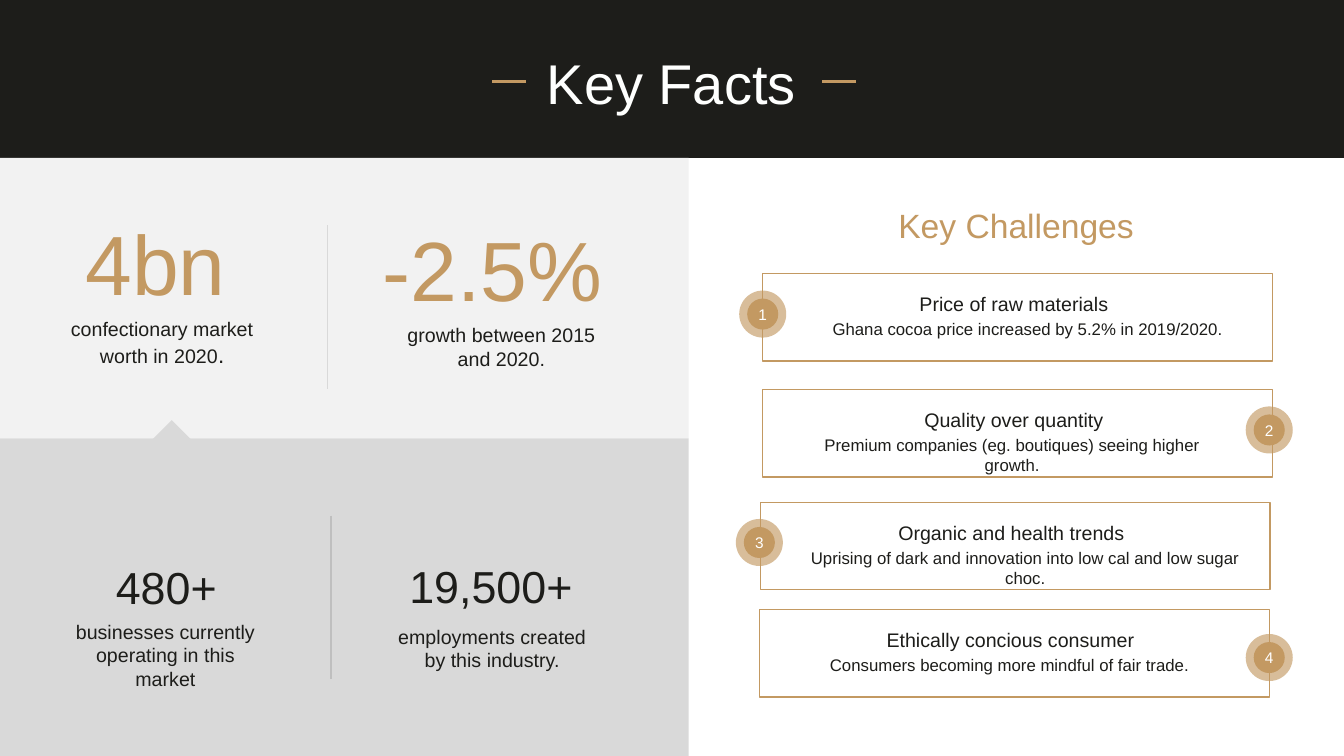
from lxml import etree
from pptx import Presentation
from pptx.dml.color import RGBColor
from pptx.enum.shapes import MSO_CONNECTOR as CONN, MSO_SHAPE as SHAPE
from pptx.enum.text import MSO_AUTO_SIZE as FIT, PP_ALIGN as ALIGN
from pptx.oxml.ns import qn
from pptx.util import Inches, Pt

COLORS = {"gold": "C39962", "ink": "1D1D1A", "title": "FEFFFE", "white": "FFFFFF",
          "pale": "F2F2F2", "grey": "D9D9D9", "rule": "BFBFBF"}
FONT = "Arial"

# Grid of 160 columns by 90 rows of square cells
COLS, ROWS = 160, 90
HEADER_ROWS, LEFT_COLS, SPLIT_ROW = 18.8, 82, 52.2

prs = Presentation()
prs.slide_width, prs.slide_height = Inches(13.33), Inches(7.5)


def grid(n):
    return round(prs.slide_width * n / COLS)


def rgb(name):
    return RGBColor.from_string(COLORS[name])


def add_box(s, x, y, w, h, fill=None, line=None, shape=SHAPE.RECTANGLE, opacity=None):
    sp = s.shapes.add_shape(shape, grid(x), grid(y), grid(w), grid(h))
    sp.shadow.inherit = False
    if fill:
        sp.fill.solid()
        sp.fill.fore_color.rgb = rgb(fill)
    else:
        sp.fill.background()
    if line:
        sp.line.color.rgb = rgb(line)
        sp.line.width = Pt(1)
    else:
        sp.line.fill.background()
    if opacity:
        color = sp.fill._xPr.find(".//" + qn("a:srgbClr"))
        etree.SubElement(color, qn("a:alpha")).set("val", str(opacity * 1000))
    return sp


def add_text(s, x, y, w, h, text, size, color="ink", align=ALIGN.CENTER):
    tf = s.shapes.add_textbox(grid(x), grid(y), grid(w), grid(h)).text_frame
    tf.word_wrap = True
    tf.auto_size = FIT.SHAPE_TO_FIT_TEXT
    p = tf.paragraphs[0]
    p.text = text
    p.alignment = align
    p.font.name, p.font.size = FONT, Pt(size)
    p.font.color.rgb = rgb(color)
    return p


def add_line(s, x1, y1, x2, y2, color, width):
    ln = s.shapes.add_connector(CONN.STRAIGHT, grid(x1), grid(y1), grid(x2), grid(y2))
    ln.line.color.rgb = rgb(color)
    ln.line.width = Pt(width)
    etree.SubElement(ln._element.spPr, qn("a:effectLst"))


def header(s, x, y, w, h):
    add_box(s, x, y, w, h, "ink")
    add_text(s, x + 49.3, y + 5.2, 61.2, 9.2, "Key Facts", 40, "title")
    for dash in (58.6, 97.9):
        add_line(s, x + dash, y + 9.7, x + dash + 4, y + 9.7, "gold", 2.25)


def stat_panel(s, x, y, w, h, fill, size, color, align, divider, stats):
    """Two figures with captions, parted by a vertical rule."""
    add_box(s, x, y, w, h, fill)
    rule_x, rule_y, rule_color = divider
    add_line(s, x + rule_x, y + rule_y, x + rule_x, y + rule_y + 19.5, rule_color, 1)
    captions = []
    for figure, (fx, fy, fw), caption, (cx, cy) in stats:
        add_text(s, x + fx, y + fy, fw, size / 5, figure, size, color, align)
        captions.append(add_text(s, x + cx, y + cy, 25, 6.9, caption, 14))
    return captions


def challenge(s, x, y, w, h, number, badge, title, body, body_w):
    """Framed text with a numbered badge on one edge."""
    add_box(s, x, y, w, h, line="gold")
    bx, by = x + badge[0], y + badge[1]
    add_box(s, bx, by, 5.6, 5.6, "gold", shape=SHAPE.OVAL, opacity=64)
    add_box(s, bx + 0.95, by + 0.95, 3.7, 3.7, "gold", shape=SHAPE.OVAL)
    add_text(s, bx + 0.7, by + 1.1, 4.2, 3.4, str(number), 11, "white")
    add_text(s, x + 3.7, y + 1.6, 52.4, 4, title, 14)
    add_text(s, x + 3.7, y + 4.8, body_w, 3.6, body, 12)


def challenges(s, x, y, w):
    add_text(s, x, y + 5, w, 6, "Key Challenges", 24, "gold")
    # Frame offset, badge offset, title, body, body width
    rows = [
        ((0.2, 13.8), (-2.8, 2), "Price of raw materials",
         "Ghana cocoa price increased by 5.2% in 2019/2020.", 55.7),
        ((0.2, 27.6), (57.5, 2), "Quality over quantity",
         "Premium companies (eg. boutiques) seeing higher growth.", 52),
        ((-0.1, 41), (-2.9, 2), "Organic and health trends",
         "Uprising of dark and innovation into low cal and low sugar choc.", 55.7),
        ((-0.2, 53.8), (57.9, 2.9), "Ethically concious consumer",
         "Consumers becoming more mindful of fair trade.", 52.2),
    ]
    for number, ((dx, dy), *parts) in enumerate(rows, 1):
        challenge(s, x + dx, y + dy, w, 10.4, number, *parts)


def main():
    s = prs.slides.add_slide(prs.slide_layouts[6])
    header(s, 0, 0, COLS, HEADER_ROWS)

    # Market size and growth
    market, _ = stat_panel(
        s, 0, HEADER_ROWS, LEFT_COLS, SPLIT_ROW - HEADER_ROWS,
        "pale", 60, "gold", ALIGN.LEFT, (39, 8, "grey"),
        [("4bn", (9, 5.8, 20.8), "confectionary market worth in 2020", (6.8, 18.4)),
         ("-2.5%", (44.4, 6.5, 31.2), "growth between 2015 and 2020.", (47.2, 19.1))])
    stop = market.add_run()
    stop.text = "."
    stop.font.size = Pt(16)

    # Businesses and jobs, with a notch pointing up
    stat_panel(
        s, 0, SPLIT_ROW, LEFT_COLS, ROWS - SPLIT_ROW,
        "grey", 32, "ink", ALIGN.CENTER, (39.4, 9.2, "rule"),
        [("480+", (9.4, 13.9, 20.8),
          "businesses currently operating in this market", (7.2, 21)),
         ("19,500+", (44.9, 13.7, 27.1),
          "employments created by this industry.", (46.1, 21.6))])
    add_box(s, 18.1, SPLIT_ROW - 1.2, 4.7, 4.7, "grey").rotation = 45

    challenges(s, 90.6, HEADER_ROWS, 60.7)
    prs.save("out.pptx")


if __name__ == "__main__":
    main()
